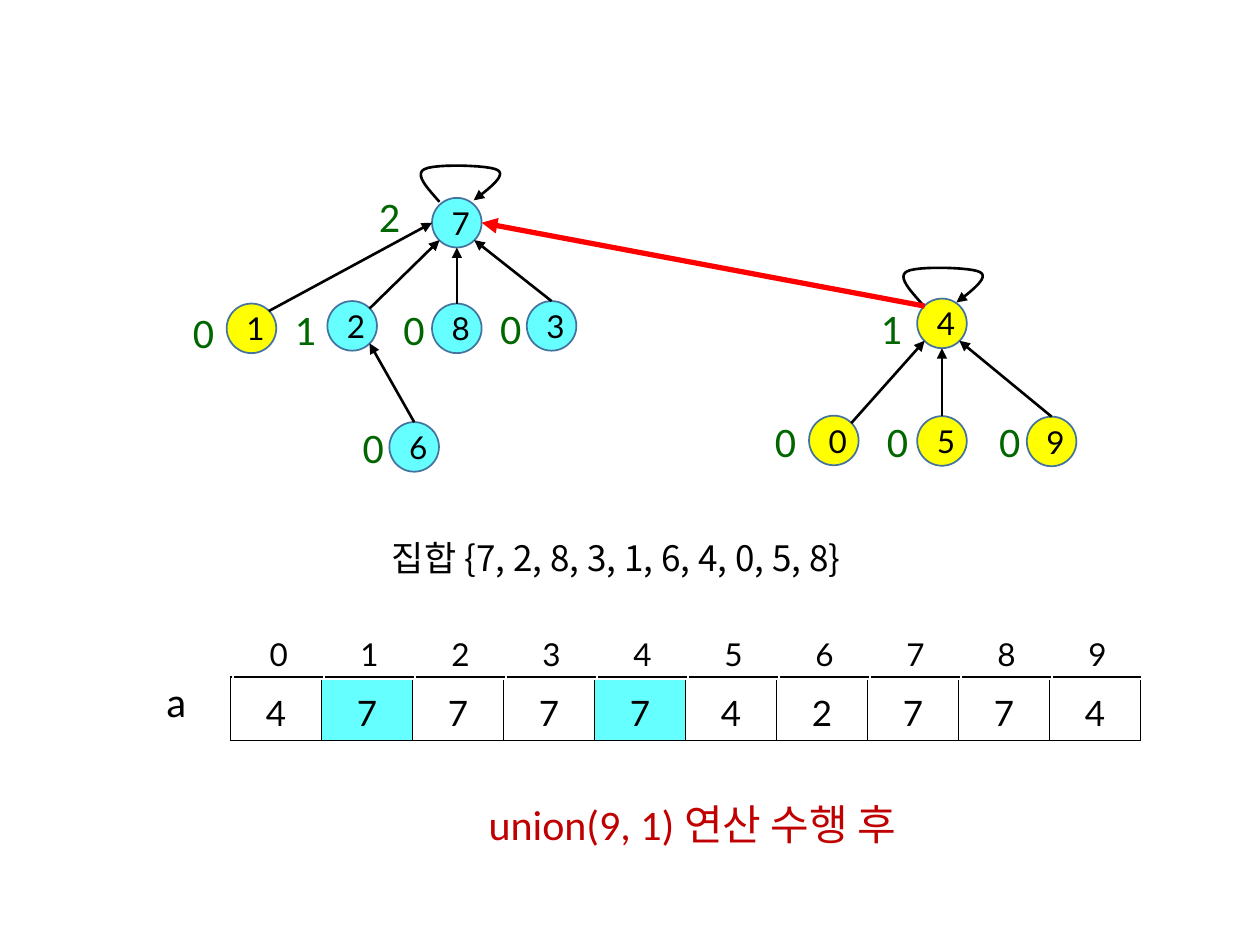
from dataclasses import dataclass
from enum import Enum
from itertools import product
from typing import NamedTuple, Optional

from lxml.etree import SubElement
from pptx import Presentation
from pptx.dml.color import RGBColor
from pptx.enum.shapes import MSO_CONNECTOR, MSO_SHAPE
from pptx.enum.text import MSO_ANCHOR, MSO_AUTO_SIZE, PP_ALIGN
from pptx.oxml.ns import qn
from pptx.util import Cm, Pt


@dataclass(frozen=True)
class Theme:
    """Colours, fonts and sizes of the slide."""
    black: str = "000000"
    root_set: str = "66FFFF"
    joined_set: str = "FFFF00"
    node_rim: str = "43739E"
    rank: str = "006600"
    union: str = "FF0000"
    caption: str = "C00000"
    digit_font: str = "Lato"
    label_font: str = "Calibri"
    korean_font: str = "Noto Sans CJK KR"
    small: int = 18
    medium: int = 20
    large: int = 24
    thin: float = 1
    edge: float = 1.5
    thick: float = 3


class Point(NamedTuple):
    x: float
    y: float


class Site(Enum):
    """Where an edge meets a node, as a share of its diameter."""
    TOP = Point(0.5, 0)
    TOP_LEFT = Point(0.15, 0.15)
    TOP_RIGHT = Point(0.85, 0.15)
    LEFT = Point(0, 0.5)
    RIGHT = Point(1, 0.5)
    BOTTOM = Point(0.5, 1)
    BOTTOM_LEFT = Point(0.15, 0.85)
    BOTTOM_RIGHT = Point(0.85, 0.85)


class Node(NamedTuple):
    corner: Point
    rank: str
    rank_corner: Point
    colour: str


class Edge(NamedTuple):
    child: str
    start: Site
    parent: str
    end: Site


THEME = Theme()
DIAMETER = 1.0
NODES = {
    "1": Node(Point(4.57, 6.12), "0", Point(3.51, 6.05), THEME.joined_set),
    "8": Node(Point(8.71, 6.12), "0", Point(7.75, 5.99), THEME.root_set),
    "7": Node(Point(8.71, 3.99), "2", Point(7.26, 3.71), THEME.root_set),
    "2": Node(Point(6.6, 6.07), "1", Point(5.56, 5.99), THEME.root_set),
    "6": Node(Point(7.85, 8.51), "0", Point(6.93, 8.38), THEME.root_set),
    "3": Node(Point(10.62, 6.07), "0", Point(9.7, 5.97), THEME.root_set),
    "4": Node(Point(18.49, 6.02), "1", Point(17.37, 5.97), THEME.joined_set),
    "0": Node(Point(16.31, 8.38), "0", Point(15.24, 8.26), THEME.joined_set),
    "5": Node(Point(18.49, 8.39), "0", Point(17.5, 8.26), THEME.joined_set),
    "9": Node(Point(20.7, 8.4), "0", Point(19.76, 8.26), THEME.joined_set),
}
EDGES = [
    Edge("6", Site.TOP, "2", Site.BOTTOM_RIGHT),
    Edge("1", Site.TOP_RIGHT, "7", Site.LEFT),
    Edge("2", Site.TOP_RIGHT, "7", Site.BOTTOM_LEFT),
    Edge("8", Site.TOP, "7", Site.BOTTOM),
    Edge("3", Site.TOP, "7", Site.BOTTOM_RIGHT),
    Edge("0", Site.TOP_RIGHT, "4", Site.BOTTOM_LEFT),
    Edge("5", Site.TOP, "4", Site.BOTTOM),
    Edge("9", Site.TOP, "4", Site.BOTTOM_RIGHT),
]
UNION_EDGE = Edge("4", Site.TOP_LEFT, "7", Site.RIGHT)
LOOP_ORIGINS = [Point(8.71, 3.99), Point(18.44, 6.05)]
LOOP_CONTROLS = [
    Point(0.15, 0.08), Point(-0.1, -0.2), Point(-0.36, -0.48), Point(-0.15, -0.58),
    Point(0.05, -0.69), Point(1.17, -0.66), Point(1.32, -0.56),
    Point(1.5, -0.46), Point(1.17, -0.2), Point(0.84, 0.05),
]
PARENTS = "4777742774"
CHANGED = {1, 4}


def add_run(paragraph, text: str, size: int, font: str, colour: str) -> None:
    """Append one formatted run with a Korean fallback font."""
    run = paragraph.add_run()
    run.text = text
    run.font.size = Pt(size)
    run.font.name = font
    run.font.color.rgb = RGBColor.from_string(colour)
    SubElement(run.font._element, qn("a:ea"), typeface=THEME.korean_font)


def add_label(slide, corner: Point, width: float, text: str, colour: str,
              align=PP_ALIGN.CENTER, size: int = THEME.large,
              font: str = THEME.label_font, height: float = 1.27) -> None:
    """Write one line of free text."""
    label = slide.shapes.add_textbox(Cm(corner.x), Cm(corner.y), Cm(width), Cm(height))
    label.text_frame.word_wrap = True
    label.text_frame.auto_size = MSO_AUTO_SIZE.SHAPE_TO_FIT_TEXT
    paragraph = label.text_frame.paragraphs[0]
    paragraph.alignment = align
    add_run(paragraph, text, size, font, colour)


def add_node(slide, key: str, node: Node):
    """Draw a tree node and the rank beside it."""
    circle = slide.shapes.add_shape(MSO_SHAPE.OVAL, Cm(node.corner.x), Cm(node.corner.y),
                                    Cm(DIAMETER), Cm(DIAMETER))
    circle.shadow.inherit = False
    circle.fill.solid()
    circle.fill.fore_color.rgb = RGBColor.from_string(node.colour)
    circle.line.color.rgb = RGBColor.from_string(THEME.node_rim)
    circle.line.width = Pt(THEME.thin)
    circle.text_frame.word_wrap = True
    circle.text_frame.vertical_anchor = MSO_ANCHOR.MIDDLE
    paragraph = circle.text_frame.paragraphs[0]
    paragraph.alignment = PP_ALIGN.CENTER
    add_run(paragraph, key, THEME.small, THEME.digit_font, THEME.black)
    add_label(slide, node.rank_corner, 1.19, node.rank, THEME.rank)
    return circle


def style_arrow(line, colour: str, width: float) -> None:
    """Colour a line and give it an arrowhead at its end."""
    line.color.rgb = RGBColor.from_string(colour)
    line.width = Pt(width)
    SubElement(line._get_or_add_ln(), qn("a:tailEnd"), type="triangle")


def add_edge(slide, circles: dict, edge: Edge, colour: str, width: float) -> None:
    """Draw the arrow from a child to its parent."""
    ends = []
    for key, site in ((edge.child, edge.start), (edge.parent, edge.end)):
        corner = NODES[key].corner
        ends += [Cm(corner.x + site.value.x * DIAMETER), Cm(corner.y + site.value.y * DIAMETER)]
    arrow = slide.shapes.add_connector(MSO_CONNECTOR.STRAIGHT, *ends)
    if edge.start is Site.TOP:
        arrow.begin_connect(circles[edge.child], 0)
    style_arrow(arrow.line, colour, width)
    SubElement(arrow._element.spPr, qn("a:effectLst"))


def bezier(controls: list[Point], t: float) -> Point:
    """Return the point at t on a cubic curve."""
    weights = ((1 - t) ** 3, 3 * t * (1 - t) ** 2, 3 * t * t * (1 - t), t ** 3)
    return Point(sum(w * p.x for w, p in zip(weights, controls)),
                 sum(w * p.y for w, p in zip(weights, controls)))


def add_root_loop(slide, origin: Point, steps: int = 12) -> None:
    """Draw the arrow by which a root points to itself."""
    curve = [bezier(LOOP_CONTROLS[first:first + 4], step / steps)
             for first, step in product((0, 3, 6), range(1, steps + 1))]
    points = [(Cm(origin.x + p.x), Cm(origin.y + p.y)) for p in [LOOP_CONTROLS[0], *curve]]
    builder = slide.shapes.build_freeform(*points[0])
    builder.add_line_segments(points[1:], close=False)
    loop = builder.convert_to_shape()
    loop.shadow.inherit = False
    loop.fill.background()
    style_arrow(loop.line, THEME.black, THEME.edge)


def add_border(cell) -> None:
    """Put a black line on all four sides of a cell."""
    properties = cell._tc.get_or_add_tcPr()
    for place, side in enumerate(("a:lnL", "a:lnR", "a:lnT", "a:lnB")):
        line = SubElement(properties, qn(side), w=str(Pt(THEME.thin)))
        SubElement(SubElement(line, qn("a:solidFill")), qn("a:srgbClr"), val=THEME.black)
        properties.insert(place, line)


def add_row(slide, corner: Point, height: float, digits: str, size: int,
            anchor, bordered: bool = False, marked: Optional[set] = None) -> None:
    """Draw a one-row table of digits."""
    table = slide.shapes.add_table(1, len(digits), Cm(corner.x), Cm(corner.y),
                                   Cm(18.34), Cm(height)).table
    table.first_row = table.horz_banding = False
    for column, digit in enumerate(digits):
        cell = table.cell(0, column)
        cell.vertical_anchor = anchor
        cell.fill.background()
        if column in (marked or set()):
            cell.fill.solid()
            cell.fill.fore_color.rgb = RGBColor.from_string(THEME.root_set)
        if bordered:
            add_border(cell)
        paragraph = cell.text_frame.paragraphs[0]
        paragraph.alignment = PP_ALIGN.CENTER
        paragraph.line_spacing = 1.2
        paragraph.space_before = Pt(size * 0.2)
        add_run(paragraph, digit, size, THEME.digit_font, THEME.black)


def main() -> None:
    """Build the union slide."""
    deck = Presentation()
    deck.slide_width, deck.slide_height = Cm(25.4), Cm(19.05)
    slide = deck.slides.add_slide(deck.slide_layouts[6])
    add_row(slide, Point(4.65, 13.65), 1.27, PARENTS, THEME.medium,
            MSO_ANCHOR.MIDDLE, bordered=True, marked=CHANGED)
    add_row(slide, Point(4.7, 12.52), 1.17, "0123456789", THEME.small, MSO_ANCHOR.TOP)
    add_label(slide, Point(3.1, 13.49), 1.19, "a", THEME.black, PP_ALIGN.LEFT)
    add_label(slide, Point(6.65, 10.69), 11.56, "집합 {7, 2, 8, 3, 1, 6, 4, 0, 5, 8}",
              THEME.black, size=THEME.medium, font=THEME.korean_font, height=1.12)
    circles = {key: add_node(slide, key, node) for key, node in NODES.items()}
    for edge in EDGES:
        add_edge(slide, circles, edge, THEME.black, THEME.edge)
    for origin in LOOP_ORIGINS:
        add_root_loop(slide, origin)
    add_label(slide, Point(9.6, 15.98), 12.88, "union(9, 1) 연산 수행 후",
              THEME.caption, PP_ALIGN.LEFT)
    add_edge(slide, circles, UNION_EDGE, THEME.union, THEME.thick)
    deck.save("out.pptx")


if __name__ == "__main__":
    main()
